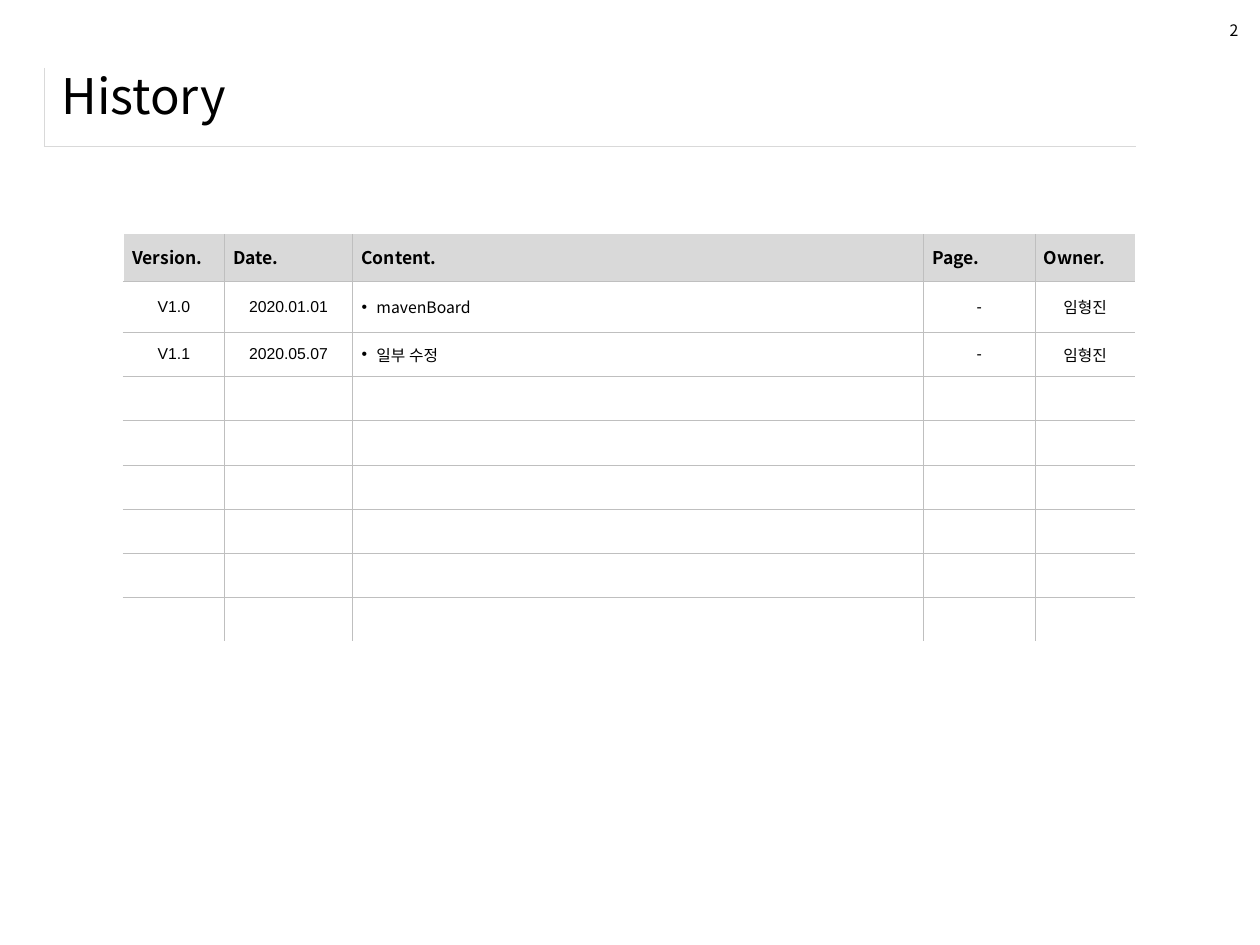
import pptx
import pptx.util
import pptx.dml.color
import pptx.enum.text
from lxml import etree

Cm, Pt = pptx.util.Cm, pptx.util.Pt
ALIGN = pptx.enum.text.PP_ALIGN
MID = pptx.enum.text.MSO_ANCHOR.MIDDLE
NS = "http://schemas.openxmlformats.org/drawingml/2006/main"

COLORS = {"text": "000000", "head": "D9D9D9", "grid": "BFBFBF",
          "rule": "D9D9D9", "edge": "FFFFFF"}
SANS, ARIAL = "Noto Sans CJK KR", "Arial"
GRID, EDGE, RULE = ("grid", 0.25), ("edge", 1), ("rule", 0.25)

WIDTHS = [2.03, 2.59, 11.51, 2.24, 2.03]
HEIGHTS = [0.94, 1.04] + [0.89] * 7
HEADS = ["Version.", "Date.", "Content.", "Page.", "Owner."]
ROWS = [["V1.0", "2020.01.01", "mavenBoard", "-", "임형진"],
        ["V1.1", "2020.05.07", "일부 수정", "-", "임형진"]]
FONTS = [ARIAL, ARIAL, SANS, ARIAL, SANS]
CELL = {"margin_left": Cm(0.18), "margin_right": Cm(0.18),
        "margin_top": Cm(0.13), "margin_bottom": Cm(0.13),
        "vertical_anchor": MID}


def add(parent, tag, **attrs):
    return etree.SubElement(parent, f"{{{NS}}}{tag}", attrs)


def rgb(name):
    return pptx.dml.color.RGBColor.from_string(COLORS[name])


def apply(target, values):
    for name, value in values.items():
        setattr(target, name, value)


def write(para, text, size, face=SANS, bold=False):
    run = para.add_run()
    run.text = text
    apply(run.font, {"size": Pt(size), "name": face, "bold": bold})
    run.font.color.rgb = rgb("text")
    add(run.font._element, "ea", typeface=face)


def bullet(para):
    props = para._p.get_or_add_pPr()
    props.set("marL", str(Cm(0.3)))
    props.set("indent", str(-Cm(0.3)))
    add(props, "buFont", typeface=ARIAL)
    add(props, "buChar", char="•")


def border(cell, **sides):
    """Draw the given sides (L, R, T, B) and leave the others open."""
    props = cell._tc.get_or_add_tcPr()
    for side in "LRTB":
        line = add(props, "ln" + side)
        if side in sides:
            color, width = sides[side]
            line.set("w", str(Pt(width)))
            fill = add(line, "solidFill")
            add(fill, "srgbClr", val=COLORS[color])
        else:
            add(line, "noFill")


def add_text(slide, box, text, size, **frame):
    shape = slide.shapes.add_textbox(*map(Cm, box))
    apply(shape.text_frame, frame)
    write(shape.text_frame.paragraphs[0], text, size)


def add_table(slide, left, top, widths, heights):
    frame = slide.shapes.add_table(
        len(heights), len(widths), Cm(left), Cm(top),
        Cm(sum(widths)), Cm(sum(heights)))
    table = frame.table
    apply(table, {"first_row": False, "horz_banding": False})
    for col, width in zip(table.columns, widths):
        col.width = Cm(width)
    for row, height in zip(table.rows, heights):
        row.height = Cm(height)
    return table


def add_rule(slide):
    """Frame the title with a left and a bottom line."""
    cell = add_table(slide, 0.89, 1.37, [22.02], [1.58]).cell(0, 0)
    border(cell, L=RULE, B=RULE)
    cell.fill.background()


def fill_cell(cell, row, col):
    para = cell.text_frame.paragraphs[0]
    if row == 0:
        write(para, HEADS[col], 10, bold=True)
    elif row <= len(ROWS):
        if HEADS[col] == "Content.":
            bullet(para)
        else:
            para.alignment = ALIGN.CENTER
        write(para, ROWS[row - 1][col], 9, FONTS[col])
    else:
        add(para._p, "endParaRPr", sz="900")


def add_history(slide):
    table = add_table(slide, 2.49, 4.72, WIDTHS, HEIGHTS)
    for row in range(len(HEIGHTS)):
        for col in range(len(WIDTHS)):
            cell = table.cell(row, col)
            apply(cell, CELL)
            fill_cell(cell, row, col)
            sides = {"L": GRID if col else EDGE,
                     "B": GRID if row < len(HEIGHTS) - 1 else EDGE}
            if col < len(WIDTHS) - 1:
                sides["R"] = GRID
            if row:
                sides["T"] = GRID
            border(cell, **sides)
            if row:
                cell.fill.background()
            else:
                cell.fill.solid()
                cell.fill.fore_color.rgb = rgb("head")


def main():
    deck = pptx.Presentation()
    apply(deck, {"slide_width": Cm(25.4), "slide_height": Cm(19.05)})
    slide = deck.slides.add_slide(deck.slide_layouts[6])
    add_rule(slide)
    add_text(slide, (0.99, 1.12, 23.8, 1.6), "History", 28,
             word_wrap=True, vertical_anchor=MID)
    add_history(slide)
    add_text(slide, (24.54, 0.3, 0.69, 0.64), "2", 9, word_wrap=False)
    deck.save("out.pptx")


if __name__ == "__main__":
    main()
